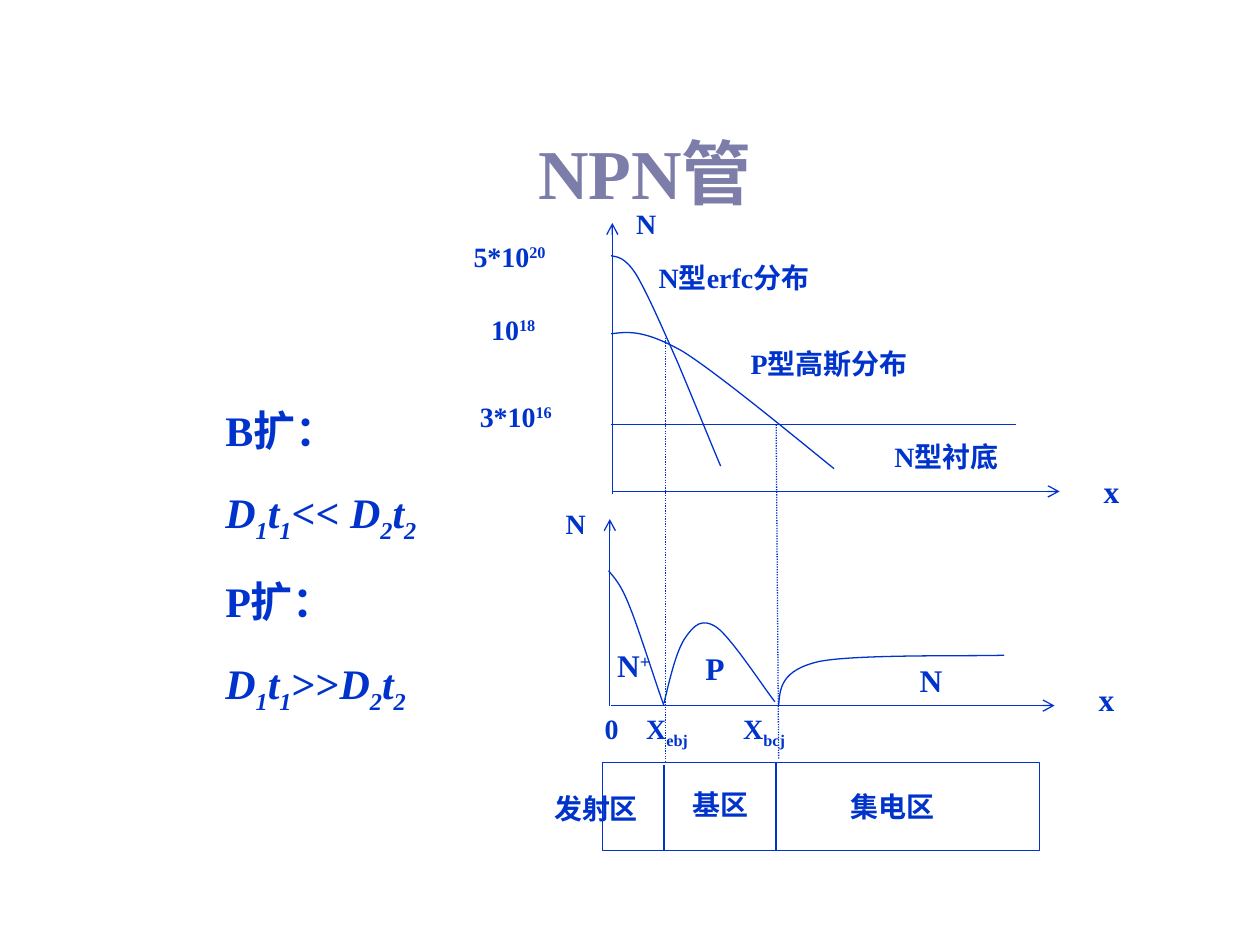
from dataclasses import dataclass

import lxml.etree
import pptx
import pptx.dml.color
import pptx.enum.dml
import pptx.enum.shapes
import pptx.enum.text
import pptx.oxml.ns
import pptx.util

Inches = pptx.util.Inches
SUPERSCRIPT, SUBSCRIPT = 30, -25


@dataclass(frozen=True)
class Theme:
    font: str = "Times New Roman"
    ink: str = "0033CC"
    title_color: str = "7D7DA9"
    paper: str = "FFFFFF"
    title_size: int = 40
    formula_size: int = 24
    region_size: int = 18
    label_size: int = 16
    line_width: float = 0.75


def rgb(color):
    return pptx.dml.color.RGBColor.from_string(color)


def add_xml(parent, tag, **attributes):
    return lxml.etree.SubElement(parent, pptx.oxml.ns.qn(tag), attributes)


def bend_segments(shape):
    """Turn every three straight segments of a freeform into one cubic curve."""
    segments = list(shape._element.iter(pptx.oxml.ns.qn("a:lnTo")))
    outline = segments[0].getparent()
    for index in range(0, len(segments), 3):
        cubic = add_xml(outline, "a:cubicBezTo")
        for segment in segments[index:index + 3]:
            cubic.append(segment[0])
            outline.remove(segment)


class Sketch:
    """Draws styled elements on one slide."""

    def __init__(self, slide, theme):
        self.slide = slide
        self.theme = theme

    def style_line(self, line):
        line.color.rgb = rgb(self.theme.ink)
        line.width = pptx.util.Pt(self.theme.line_width)

    def line(self, start, end, arrow=False, dotted=False):
        connector = self.slide.shapes.add_connector(
            pptx.enum.shapes.MSO_CONNECTOR.STRAIGHT,
            *(Inches(value) for value in (*start, *end)),
        )
        self.style_line(connector.line)
        if dotted:
            connector.line.dash_style = pptx.enum.dml.MSO_LINE.ROUND_DOT
        if arrow:
            add_xml(connector.get_or_add_ln(), "a:tailEnd", type="arrow")
        add_xml(connector._element.spPr, "a:effectLst")

    def curve(self, start, *points):
        """Draw cubic curves; points come as control, control, end, and so on."""
        builder = self.slide.shapes.build_freeform(*(Inches(value) for value in start))
        builder.add_line_segments(
            [(Inches(x), Inches(y)) for x, y in points], close=False
        )
        shape = builder.convert_to_shape()
        bend_segments(shape)
        shape.shadow.inherit = False
        shape.fill.background()
        self.style_line(shape.line)

    def rectangle(self, left, top, width, height):
        shape = self.slide.shapes.add_shape(
            pptx.enum.shapes.MSO_SHAPE.RECTANGLE,
            *(Inches(value) for value in (left, top, width, height)),
        )
        shape.shadow.inherit = False
        shape.fill.solid()
        shape.fill.fore_color.rgb = rgb(self.theme.paper)
        self.style_line(shape.line)

    def run(self, paragraph, text, size, color=None, baseline=0, italic=False):
        run = paragraph.add_run()
        run.text = text
        run.font.name = self.theme.font
        run.font.size = pptx.util.Pt(size)
        run.font.bold = True
        run.font.italic = italic
        run.font.color.rgb = rgb(color or self.theme.ink)
        if baseline:
            run._r.get_or_add_rPr().set("baseline", str(baseline * 1000))

    def text_frame(self, left, top, width, height):
        box = self.slide.shapes.add_textbox(
            *(Inches(value) for value in (left, top, width, height))
        )
        box.text_frame.word_wrap = True
        return box.text_frame

    def title(self, text, *bounds):
        frame = self.text_frame(*bounds)
        frame.vertical_anchor = pptx.enum.text.MSO_ANCHOR.MIDDLE
        paragraph = frame.paragraphs[0]
        paragraph.alignment = pptx.enum.text.PP_ALIGN.CENTER
        self.run(paragraph, text, self.theme.title_size, self.theme.title_color)

    def label(self, left, top, width, *runs, size=None, height=0.37, tabs=()):
        """Write one line; each run is (text, baseline), and tabs are in inches."""
        size = size or self.theme.label_size
        paragraph = self.text_frame(left, top, width, height).paragraphs[0]
        if tabs:
            tab_list = add_xml(paragraph._p.get_or_add_pPr(), "a:tabLst")
            for position in tabs:
                add_xml(tab_list, "a:tab", pos=str(Inches(position)), algn="l")
        for text, baseline in runs:
            self.run(paragraph, text, size, baseline=baseline)

    def formulas(self, bounds, lines):
        """Write a block of lines; each run is (text, baseline, italic)."""
        frame = self.text_frame(*bounds)
        for index, runs in enumerate(lines):
            paragraph = frame.add_paragraph() if index else frame.paragraphs[0]
            paragraph.line_spacing = 1.1
            if index:
                paragraph.space_before = pptx.util.Pt(15)
            for text, baseline, italic in runs:
                self.run(paragraph, text, self.theme.formula_size,
                         baseline=baseline, italic=italic)


def diffusion_product(index):
    return [("D", 0, True), (index, SUBSCRIPT, True),
            ("t", 0, True), (index, SUBSCRIPT, True)]


def comparison(sign):
    return [*diffusion_product("1"), (sign, 0, False), *diffusion_product("2")]


def draw_profiles(sketch):
    """Doping concentrations of emitter, base and substrate."""
    sketch.line((4.86, 3.9), (8.41, 3.9), arrow=True)
    sketch.line((4.86, 3.92), (4.86, 1.77), arrow=True)
    sketch.line((4.85, 3.37), (8.06, 3.37))
    sketch.curve((4.85, 2.65),
                 (4.99, 2.63), (5.12, 2.62), (5.42, 2.79),
                 (5.71, 2.97), (6.42, 3.56), (6.62, 3.72))
    sketch.curve((4.85, 2.03),
                 (4.9, 2.04), (4.96, 2.04), (5.05, 2.18),
                 (5.14, 2.33), (5.27, 2.63), (5.38, 2.88),
                 (5.49, 3.14), (5.66, 3.56), (5.72, 3.7))


def draw_net_doping(sketch):
    """Net concentration between the two junctions."""
    sketch.line((5.28, 2.68), (5.28, 6.05), dotted=True)
    sketch.line((6.16, 3.37), (6.18, 6.03), dotted=True)
    sketch.line((4.85, 5.6), (8.37, 5.6), arrow=True)
    sketch.line((4.84, 5.6), (4.84, 4.12), arrow=True)
    sketch.curve((4.83, 4.53),
                 (4.88, 4.59), (4.93, 4.64), (5, 4.82),
                 (5.07, 4.99), (5.22, 5.47), (5.27, 5.6))
    sketch.curve((5.27, 5.58),
                 (5.32, 5.37), (5.37, 5.16), (5.44, 5.06),
                 (5.51, 4.96), (5.57, 4.9), (5.69, 4.98),
                 (5.81, 5.07), (6.07, 5.47), (6.15, 5.57))
    sketch.curve((6.18, 5.6),
                 (6.19, 5.46), (6.2, 5.32), (6.5, 5.25),
                 (6.8, 5.19), (7.72, 5.21), (7.97, 5.2))


def draw_transistor(sketch):
    sketch.rectangle(4.78, 6.05, 3.47, 0.7)
    sketch.line((5.27, 6.07), (5.27, 6.75))
    sketch.line((6.16, 6.05), (6.16, 6.75))


def draw_labels(sketch):
    for left, top, width, text in (
        (4.95, 1.59, 0.87, "N"), (4.39, 3.97, 0.87, "N"),
        (5.13, 2.02, 1.83, "N型erfc分布"), (5.86, 2.7, 1.72, "P型高斯分布"),
        (7, 3.44, 1.35, "N型衬底"), (4.3, 6.23, 0.93, "发射区"),
        (5.4, 6.2, 0.92, "基区"), (6.65, 6.22, 1.02, "集电区"),
    ):
        sketch.label(left, top, width, (text, 0))
    for left, top, width, base, exponent in (
        (3.66, 1.85, 1.12, "5*10", "20"), (3.8, 2.43, 0.87, "10", "18"),
        (3.71, 3.12, 1.07, "3*10", "16"),
    ):
        sketch.label(left, top, width, (base, 0), (exponent, SUPERSCRIPT))
    for left, top, width, *runs in (
        (8.66, 3.7, 0.48, ("x", 0)), (8.62, 5.35, 0.48, ("x", 0)),
        (4.8, 5.08, 0.52, ("N", 0), ("+", SUPERSCRIPT)),
        (5.5, 5.1, 0.62, ("P", 0)), (7.2, 5.2, 0.73, ("N", 0)),
    ):
        sketch.label(left, top, width, *runs, size=sketch.theme.region_size, height=0.4)
    sketch.label(4.7, 5.6, 1.98, ("0\tX", 0), ("ebj", SUBSCRIPT),
                 ("\tX", 0), ("bcj", SUBSCRIPT), height=0.41, tabs=(0.33, 1.1))


def main():
    presentation = pptx.Presentation()
    presentation.slide_width, presentation.slide_height = Inches(10), Inches(7.5)
    slide = presentation.slides.add_slide(presentation.slide_layouts[6])
    sketch = Sketch(slide, Theme())
    sketch.title("NPN管", 0.59, 0.75, 9.06, 1.23)
    for draw in (draw_profiles, draw_net_doping, draw_transistor, draw_labels):
        draw(sketch)
    sketch.formulas((1.69, 3.12, 1.97, 2.61), [
        [("B扩：", 0, False)], comparison("<< "),
        [("P扩：", 0, False)], comparison(">>"),
    ])
    presentation.save("out.pptx")


if __name__ == "__main__":
    main()
